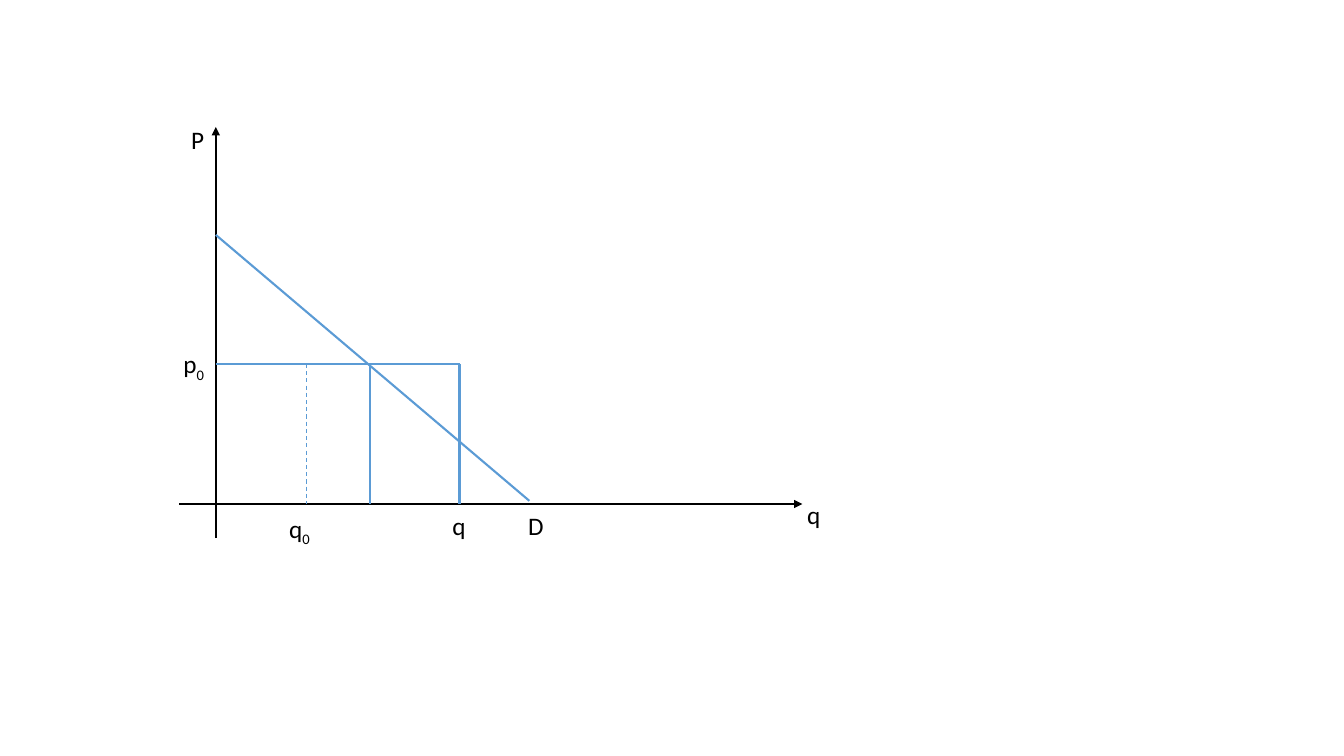
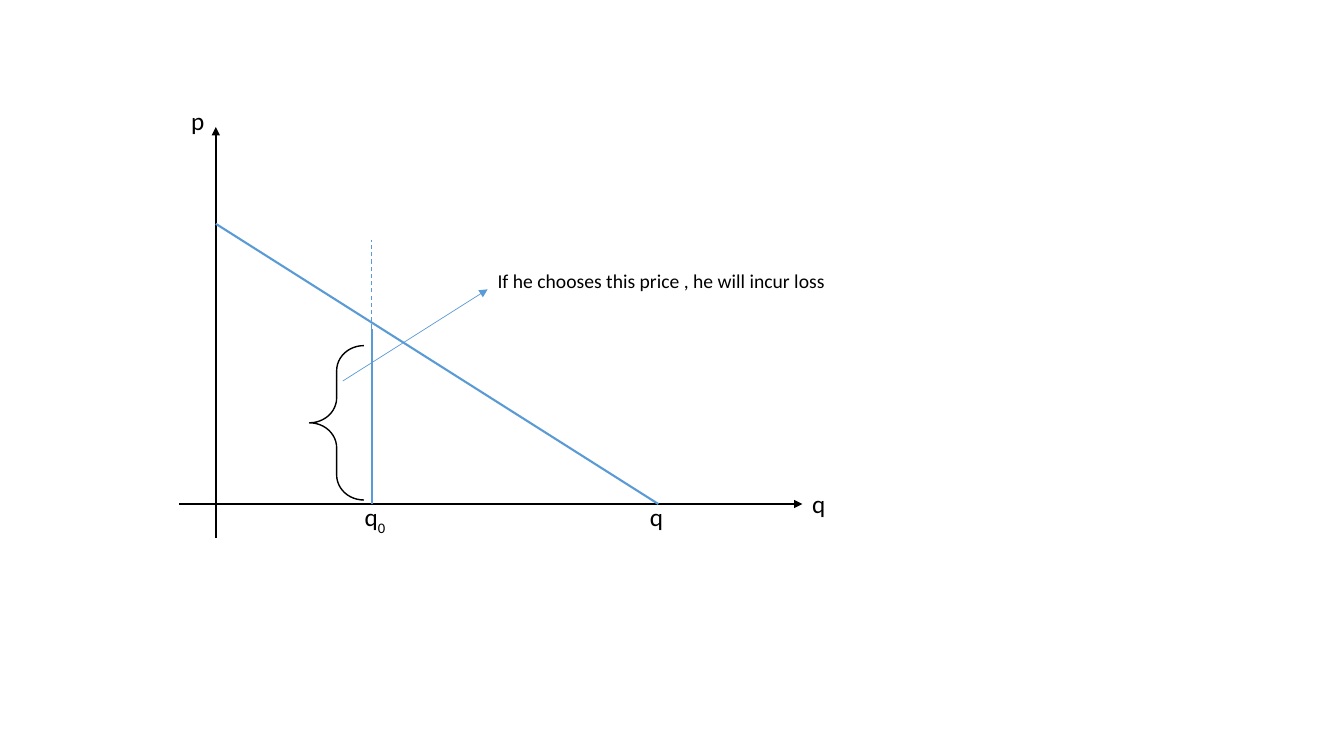
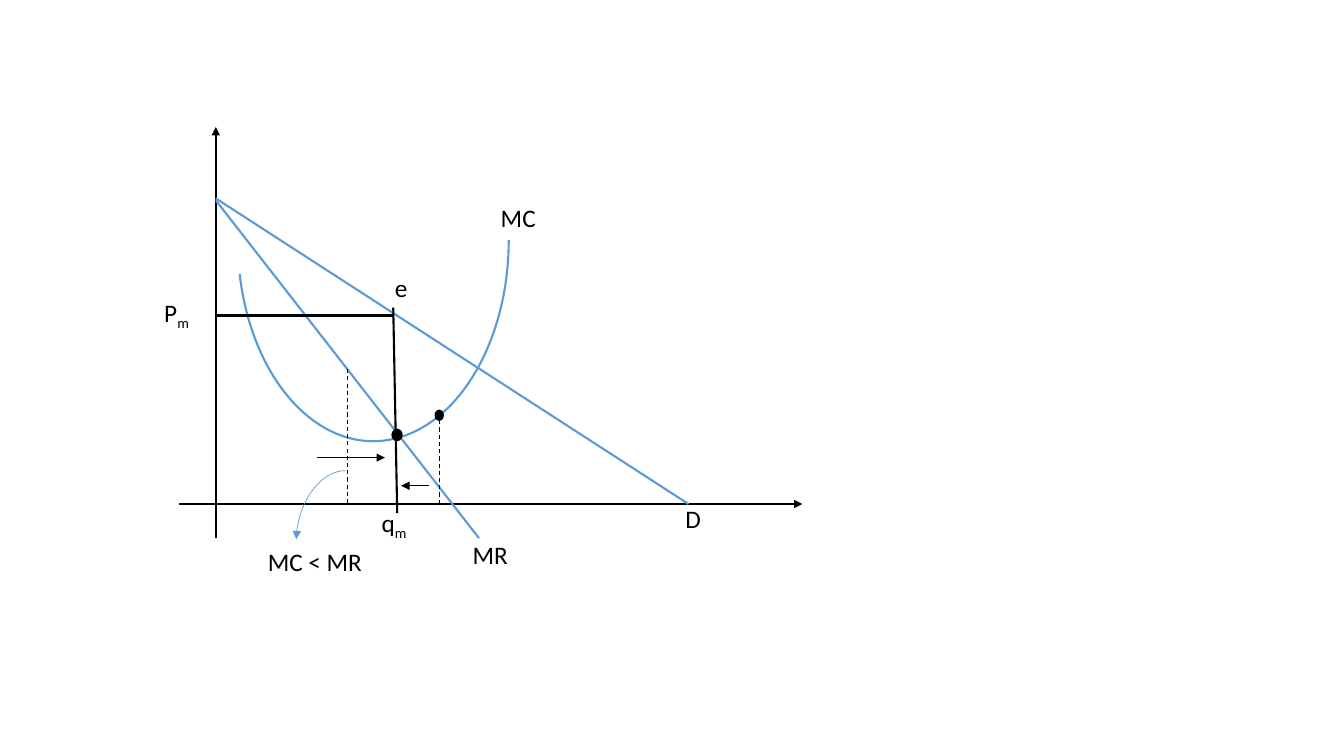
from lxml.etree import SubElement
from pptx import Presentation
from pptx.dml.color import RGBColor
from pptx.enum.dml import MSO_LINE
from pptx.enum.shapes import MSO_CONNECTOR as CONN, MSO_SHAPE as SHAPE
from pptx.enum.text import MSO_AUTO_SIZE
from pptx.oxml.ns import qn
from pptx.util import Cm, Pt

BLACK, BLUE = "000000", "5B9BD5"
FONT = "Calibri"
X0, Y0 = 5.44, 12.7


def rgb(value):
    """Return the colour for a hex string."""
    return RGBColor.from_string(value)


def style_line(sp, color, width):
    """Set the outline colour and width in points."""
    sp.line.color.rgb = rgb(color)
    sp.line.width = Pt(width)


def add_line(slide, start, end, color=BLUE, width=1.5, dash=False, arrow=False, kind=CONN.STRAIGHT):
    """Draw a connector between two points."""
    sp = slide.shapes.add_connector(kind, *map(Cm, start + end))
    style_line(sp, color, width)
    if dash:
        sp.line.dash_style = MSO_LINE.DASH
    if arrow:
        SubElement(sp.line._get_or_add_ln(), qn("a:tailEnd"), type="triangle")
    SubElement(sp._element.spPr, qn("a:effectLst"))
    return sp


def add_quarter_curve(slide, start, end):
    """Draw a thin arrow that leaves sideways and arrives vertically."""
    sp = add_line(slide, start, end, width=0.5, arrow=True, kind=CONN.CURVE)
    sp._element.spPr.find(qn("a:prstGeom")).set("prst", "curvedConnector2")


def add_outline(slide, kind, box, color, width, adjustments=(), rotation=0, fill=None):
    """Draw a preset shape, filled only when a fill is given."""
    sp = slide.shapes.add_shape(kind, *map(Cm, box))
    sp.shadow.inherit = False
    sp.rotation = rotation
    for i, value in enumerate(adjustments):
        sp.adjustments[i] = value
    if fill:
        sp.fill.solid()
        sp.fill.fore_color.rgb = rgb(fill)
    else:
        sp.fill.background()
    style_line(sp, color, width)


def add_label(slide, x, y, w, text, sub="", size=18, h=1.02):
    """Write a one-line label with an optional subscript."""
    tf = slide.shapes.add_textbox(Cm(x), Cm(y), Cm(w), Cm(h)).text_frame
    tf.word_wrap = False
    tf.auto_size = MSO_AUTO_SIZE.SHAPE_TO_FIT_TEXT
    p = tf.paragraphs[0]
    p.text = text
    if sub:
        r = p.add_run()
        r.text = sub
        r.font._element.set("baseline", "-25000")
    for r in p.runs:
        r.font.size = Pt(size)
        r.font.name = FONT
        r.font.color.rgb = rgb(BLACK)


def add_graph_slide(prs):
    """Add a blank slide with the two axes."""
    slide = prs.slides.add_slide(prs.slide_layouts[6])
    add_line(slide, (X0, 13.56), (X0, 3.2), BLACK, arrow=True)
    add_line(slide, (4.52, Y0), (20.22, Y0), BLACK, arrow=True)
    return slide


def build_fixed_price(prs):
    """Demand with a fixed price and several quantities."""
    slide = add_graph_slide(prs)
    price = 9.17
    add_line(slide, (X0, 5.92), (13.34, 12.62))
    add_line(slide, (X0, price), (11.58, price))
    for x in (9.32, 11.58):
        add_line(slide, (x, price), (x, Y0))
    add_line(slide, (7.72, price), (7.72, Y0), width=0.75, dash=True)
    add_label(slide, 4.57, 3.02, 0.84, "P")
    add_label(slide, 20.09, 12.47, 0.86, "q")
    add_label(slide, 4.37, 8.66, 1.07, "p", "0")
    add_label(slide, 7.04, 12.8, 1.07, "q", "0")
    add_label(slide, 13.06, 12.73, 0.91, "D")
    add_label(slide, 11.15, 12.73, 0.86, "q")


def build_loss(prs):
    """Prices below demand that lead to a loss."""
    slide = add_graph_slide(prs)
    add_line(slide, (X0, 5.64), (16.59, Y0))
    add_line(slide, (9.37, 8.28), (9.37, Y0))
    add_line(slide, (9.35, 8.28), (9.35, 6.05), width=0.75, dash=True)
    add_outline(slide, SHAPE.LEFT_BRACE, (7.8, 8.71, 1.37, 3.89), BLACK, 1, (0.46, 0.5))
    add_line(slide, (8.64, 9.6), (12.29, 7.29), width=0.5, arrow=True)
    add_label(slide, 12.29, 6.65, 8.84, "If he chooses this price , he will incur loss", size=14, h=0.86)
    add_label(slide, 20.22, 12.19, 0.86, "q")
    add_label(slide, 4.57, 2.54, 0.86, "p")
    add_label(slide, 16.13, 12.52, 0.86, "q")
    add_label(slide, 8.94, 12.52, 1.07, "q", "0")


def build_monopoly(prs):
    """Monopoly quantity where marginal cost meets marginal revenue."""
    slide = add_graph_slide(prs)
    add_line(slide, (X0, 5.05), (12.07, 13.56))
    add_line(slide, (X0, 5), (17.35, Y0))
    add_outline(slide, SHAPE.ARC, (4.34, 2.64, 10.13, 6.83), BLUE, 1.5, (162, 45.49), 90)
    add_line(slide, (9.91, 7.75), (10.01, 12.93), BLACK)
    add_line(slide, (X0, 7.95), (9.91, 7.95), BLACK)
    for x, top in ((8.76, 9.3), (11.07, 10.59)):
        add_line(slide, (x, top), (x, Y0), BLACK, 0.75, dash=True)
    add_outline(slide, SHAPE.OVAL, (9.88, 10.82, 0.25, 0.28), BLACK, 1, rotation=183, fill=BLACK)
    add_outline(slide, SHAPE.OVAL, (10.97, 10.34, 0.2, 0.25), BLACK, 1, fill=BLACK)
    for start, end, y in ((7.98, 9.7, 11.53), (10.8, 10.11, 12.24)):
        add_line(slide, (start, y), (end, y), BLACK, 1, arrow=True)
    add_quarter_curve(slide, (8.71, 11.86), (7.47, 13.59))
    add_label(slide, 11.66, 13.46, 1.4, "MR")
    add_label(slide, 12.37, 4.98, 1.4, "MC")
    add_label(slide, 3.89, 7.37, 1.19, "P", "m")
    add_label(slide, 17.02, 12.55, 0.91, "D")
    add_label(slide, 9.37, 12.65, 1.19, "q", "m")
    add_label(slide, 9.7, 6.73, 0.84, "e")
    add_label(slide, 6.5, 13.64, 2.92, "MC < MR")


def main():
    """Build the three graphs and save them."""
    prs = Presentation()
    prs.slide_width, prs.slide_height = Cm(33.87), Cm(19.05)
    build_fixed_price(prs)
    build_loss(prs)
    build_monopoly(prs)
    prs.save("out.pptx")


if __name__ == "__main__":
    main()
